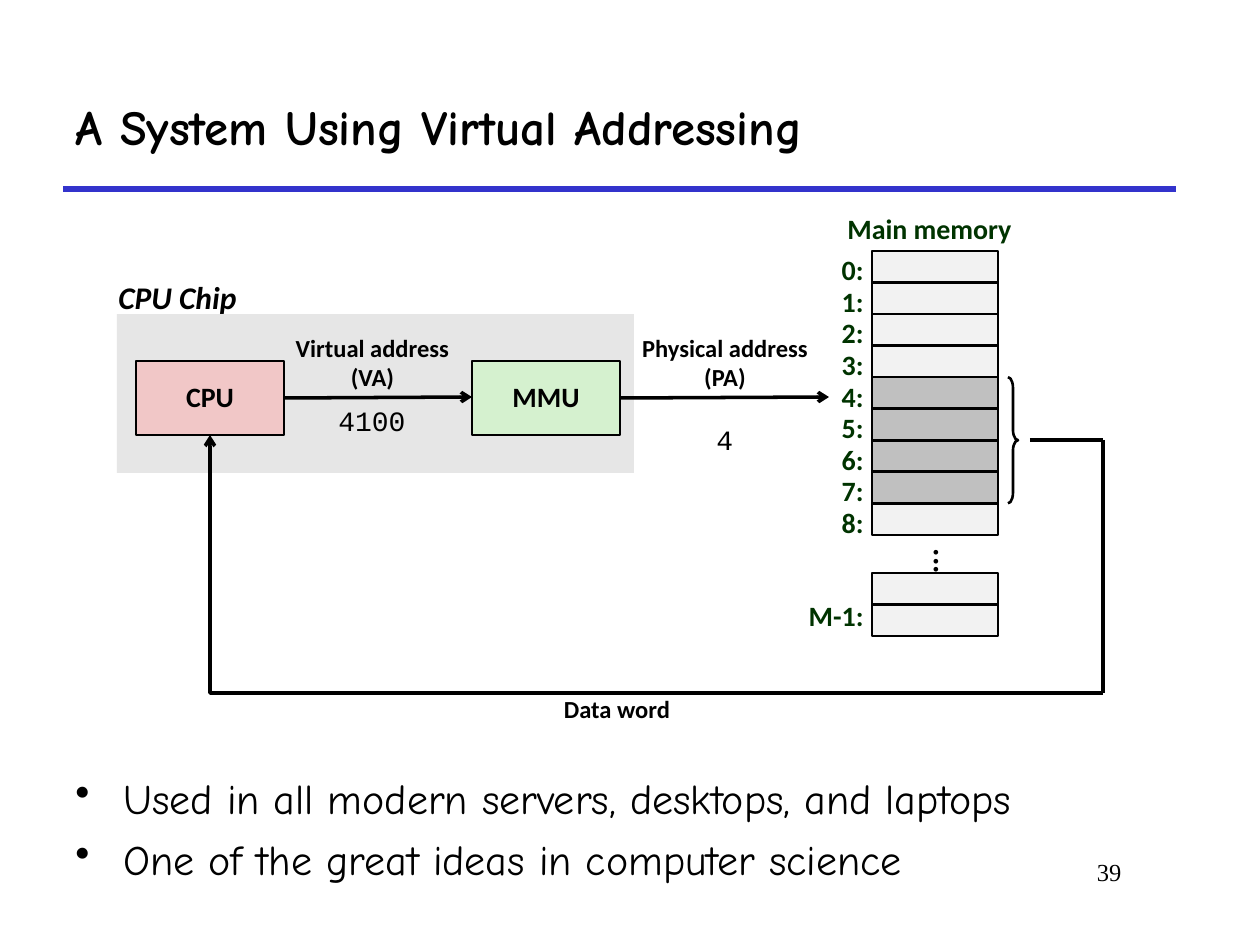
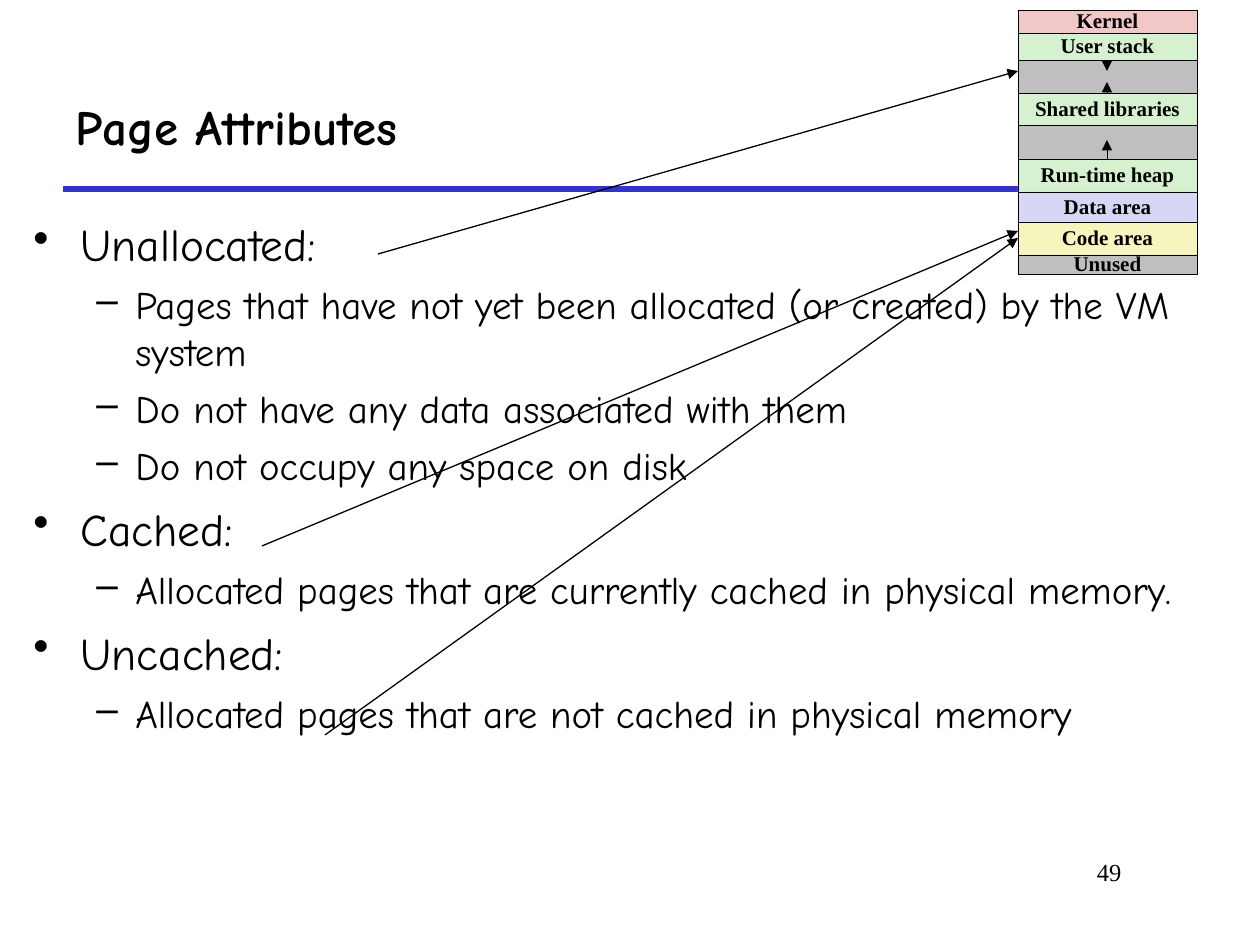
from itertools import pairwise
from lxml.etree import SubElement
from pptx import Presentation
from pptx.dml.color import RGBColor
from pptx.enum.shapes import MSO_CONNECTOR, MSO_SHAPE
from pptx.enum.text import MSO_ANCHOR, MSO_AUTO_SIZE, PP_ALIGN
from pptx.oxml.ns import qn
from pptx.util import Emu, Pt

PX_PER_INCH = 126
COLORS = {
    "ink": "000000", "rule": "3333CC", "memory": "003300", "chip": "E6E6E6",
    "cell": "F2F2F2", "page": "C0C0C0", "gap": "BFBFBF", "red": "F1C7C7",
    "green": "D5F1CF", "blue": "D6D6F5", "yellow": "F6F5BD",
}
HAND, SANS, SERIF, MONO = "Comic Neue", "Calibri", "Times New Roman", "Courier New"

ADDRESSING = {
    "title": "A System Using Virtual Addressing",
    "number": "39",
    "bullets_at": (63, 766, 1145, 147),
    "bullets": [
        (0, "Used in all modern servers, desktops, and laptops"),
        (0, "One of the great ideas in computer science"),
    ],
    "levels": {0: ("•", 48, 48, 24, 6)},
}
ATTRIBUTES = {
    "title": "Page Attributes",
    "number": "49",
    "bullets_at": (21, 210, 1218, 609),
    "bullets": [
        (0, "Unallocated:"),
        (1, "Pages that have not yet been allocated (or created) by the VM system"),
        (1, "Do not have any data associated with them"),
        (1, "Do not occupy any space on disk"),
        (0, "Cached:"),
        (1, "Allocated pages that are currently cached in physical memory."),
        (0, "Uncached:"),
        (1, "Allocated pages that are not cached in physical memory"),
    ],
    "levels": {0: ("•", 47, 47, 25.9, 7), 1: ("–", 102, 39, 22.2, 6)},
}

CHIP_AT = (117, 314, 517, 159)
UNITS = [("CPU", 136, "red"), ("MMU", 472, "green")]
UNIT_TOP, UNIT_WIDTH, UNIT_HEIGHT = 361, 148, 74
CAPTIONS = [
    (["Virtual address", "(VA)"], (283, 328, 179, 71)),
    (["Physical address", "(PA)"], (629, 328, 192, 71)),
    (["Data word"], (551, 689, 132, 42)),
]
ADDRESSES = [("4100", (326, 397, 92, 47)), ("4", (704, 416, 42, 47))]
MEMORY_LEFT, MEMORY_TOP, MEMORY_WIDTH, MEMORY_HEIGHT = 872, 251, 126, 284
MEMORY_ROWS, MEMORY_END_TOP = 9, 573
PAGE_ROWS = range(4, 8)
LABEL_RIGHT, LABEL_WIDTH, LABEL_HEIGHT = 876, 90, 42
BUS = [
    ((284, 398), (472, 397), "arrow"),
    ((620, 398), (829, 397), "arrow"),
    ((1030, 440), (1103, 440), None),
    ((1103, 440), (1103, 693), None),
]
RETURN_BUS = ((210, 435), (1103, 693))

REGION_LEFT, REGION_WIDTH, REGION_BOTTOM = 1018, 179, 274
REGIONS = [
    ("Kernel", 10, "red"), ("User stack", 33, "green"), ("", 60, "gap"),
    ("Shared libraries", 93, "green"), ("", 125, "gap"),
    ("Run-time heap", 159, "green"), ("Data area", 192, "blue"),
    ("Code area", 222, "yellow"), ("Unused", 255, "gap"),
]
GROWTH = [(60, 71), (93, 82), (159, 140)]
POINTERS = [((378, 254), 71), ((262, 546), 231), ((325, 735), 238)]


def px(value):
    return Emu(round(value * 914400 / PX_PER_INCH))


def rgb(name):
    return RGBColor.from_string(COLORS[name])


def style(font, face, size, color="ink", bold=False, italic=False):
    font.name, font.size = face, Pt(size)
    font.bold, font.italic = bold, italic
    font.color.rgb = rgb(color)


def write(shape, lines, face, size, align=PP_ALIGN.LEFT, spacing=None,
          anchor=MSO_ANCHOR.TOP, wrap=False, **look):
    frame = shape.text_frame
    frame.word_wrap, frame.auto_size = wrap, MSO_AUTO_SIZE.NONE
    frame.vertical_anchor = anchor
    for index, line in enumerate(lines):
        para = frame.add_paragraph() if index else frame.paragraphs[0]
        para.alignment = align
        if spacing:
            para.line_spacing = spacing
        span = para.add_run()
        span.text = line
        style(span.font, face, size, **look)


def add_text(page, at, lines, face, size, **options):
    box = page.shapes.add_textbox(*map(px, at))
    write(box, lines, face, size, **options)
    return box


def add_box(page, at, fill, weight=None, label="", face=SANS, size=16):
    box = page.shapes.add_shape(MSO_SHAPE.RECTANGLE, *map(px, at))
    box.shadow.inherit = False
    box.fill.solid()
    box.fill.fore_color.rgb = rgb(fill)
    if weight:
        box.line.color.rgb, box.line.width = rgb("ink"), Pt(weight)
    else:
        box.line.fill.background()
    if label:
        write(box, [label], face, size, align=PP_ALIGN.CENTER, spacing=0.98,
              anchor=MSO_ANCHOR.MIDDLE, bold=True)


def add_line(page, start, end, weight, head=None, color="ink", kind=MSO_CONNECTOR.STRAIGHT):
    line = page.shapes.add_connector(kind, *map(px, start + end))
    line.line.color.rgb, line.line.width = rgb(color), Pt(weight)
    if head:
        SubElement(line.line._get_or_add_ln(), qn("a:tailEnd"), type=head)
    SubElement(line._element.spPr, qn("a:effectLst"))
    return line


def add_bullets(page, at, bullets, levels):
    box = page.shapes.add_textbox(*map(px, at))
    frame = box.text_frame
    frame.word_wrap = True
    for index, (level, text) in enumerate(bullets):
        mark, margin, hanging, size, before = levels[level]
        para = frame.add_paragraph() if index else frame.paragraphs[0]
        para.level = level
        properties = para._p.get_or_add_pPr()
        properties.set("marL", str(px(margin)))
        properties.set("indent", str(px(-hanging)))
        bullet_color = SubElement(properties, qn("a:buClr"))
        SubElement(bullet_color, qn("a:srgbClr"), val=COLORS["ink"])
        SubElement(properties, qn("a:buChar"), char=mark)
        if index:
            para.space_before = Pt(before)
        span = para.add_run()
        span.text = text
        style(span.font, HAND, size)


def add_page(deck, content):
    page = deck.slides.add_slide(deck.slide_layouts[5])
    title = page.shapes.title
    title.left, title.top, title.width, title.height = map(px, (63, 63, 1113, 126))
    write(title, [content["title"]], HAND, 28, anchor=MSO_ANCHOR.MIDDLE, wrap=True, bold=True)
    add_line(page, (63, 189), (1176, 189), 3, color="rule")
    add_text(page, (955, 851, 179, 63), [content["number"]], SERIF, 14,
             align=PP_ALIGN.RIGHT, wrap=True)
    add_bullets(page, content["bullets_at"], content["bullets"], content["levels"])
    return page


def draw_memory(page):
    def add_label(text, top):
        add_text(page, (LABEL_RIGHT - LABEL_WIDTH, top, LABEL_WIDTH, LABEL_HEIGHT), [text],
                 SANS, 16, align=PP_ALIGN.RIGHT, spacing=0.88, wrap=True, color="memory", bold=True)

    pitch = MEMORY_HEIGHT / MEMORY_ROWS
    for row in range(MEMORY_ROWS):
        top = MEMORY_TOP + row * pitch
        add_box(page, (MEMORY_LEFT, top, MEMORY_WIDTH, pitch),
                "page" if row in PAGE_ROWS else "cell", 1.5)
        add_label(f"{row}:", top)
    for row in range(2):
        add_box(page, (MEMORY_LEFT, MEMORY_END_TOP + row * pitch, MEMORY_WIDTH, pitch), "cell", 1.5)
    add_label("M-1:", 597)
    add_text(page, (835, 210, 189, 42), ["Main memory"], SANS, 16, align=PP_ALIGN.CENTER,
             spacing=0.88, color="memory", bold=True)
    dots = add_text(page, (882, 536, 126, 32), ["..."], SANS, 18, align=PP_ALIGN.CENTER,
                    spacing=0.98, anchor=MSO_ANCHOR.MIDDLE, bold=True)
    frame = dots.text_frame
    frame.margin_left = frame.margin_right = px(6)
    frame.margin_top = frame.margin_bottom = px(13)
    frame._txBody.bodyPr.set("vert", "eaVert")
    frame.paragraphs[0]._p.get_or_add_pPr().set("rtl", "1")

    brace_top = MEMORY_TOP + PAGE_ROWS.start * pitch
    brace = page.shapes.add_shape(MSO_SHAPE.RIGHT_BRACE,
                                  *map(px, (1008, brace_top, 10, len(PAGE_ROWS) * pitch)))
    brace.shadow.inherit = False
    brace.adjustments[0] = 1.04
    brace.fill.background()
    brace.line.color.rgb, brace.line.width = rgb("ink"), Pt(1.5)


def draw_addressing(page):
    add_box(page, CHIP_AT, "chip")
    add_text(page, (106, 272, 144, 50), ["CPU Chip"], SANS, 18, bold=True, italic=True)
    draw_memory(page)
    for start, end, head in BUS:
        add_line(page, start, end, 2, head)
    data_bus = add_line(page, *RETURN_BUS, 2, "arrow", kind=MSO_CONNECTOR.ELBOW)
    data_bus._element.spPr.find(qn("a:prstGeom")).set("prst", "bentConnector2")
    data_bus._element.spPr.find(qn("a:xfrm")).set("rot", str(180 * 60000))
    for name, left, fill in UNITS:
        add_box(page, (left, UNIT_TOP, UNIT_WIDTH, UNIT_HEIGHT), fill, 1, name)
    for lines, at in CAPTIONS:
        add_text(page, at, lines, SANS, 14, align=PP_ALIGN.CENTER, spacing=0.98,
                 anchor=MSO_ANCHOR.MIDDLE, bold=True)
    for address, at in ADDRESSES:
        add_text(page, at, [address], MONO, 16)


def draw_address_space(page):
    edges = [top for _, top, _ in REGIONS] + [REGION_BOTTOM]
    for (name, _, fill), (top, bottom) in zip(REGIONS, pairwise(edges)):
        add_box(page, (REGION_LEFT, top, REGION_WIDTH, bottom - top), fill, 0.25, name, SERIF, 12)
    middle = REGION_LEFT + REGION_WIDTH // 2
    for start, end in GROWTH:
        add_line(page, (middle, start), (middle, end), 0.25, "triangle")
    for start, target in POINTERS:
        add_line(page, start, (REGION_LEFT, target), 0.75, "triangle")


def main():
    deck = Presentation()
    deck.slide_width, deck.slide_height = px(1260), px(945)
    draw_addressing(add_page(deck, ADDRESSING))
    draw_address_space(add_page(deck, ATTRIBUTES))
    deck.save("out.pptx")


if __name__ == "__main__":
    main()
